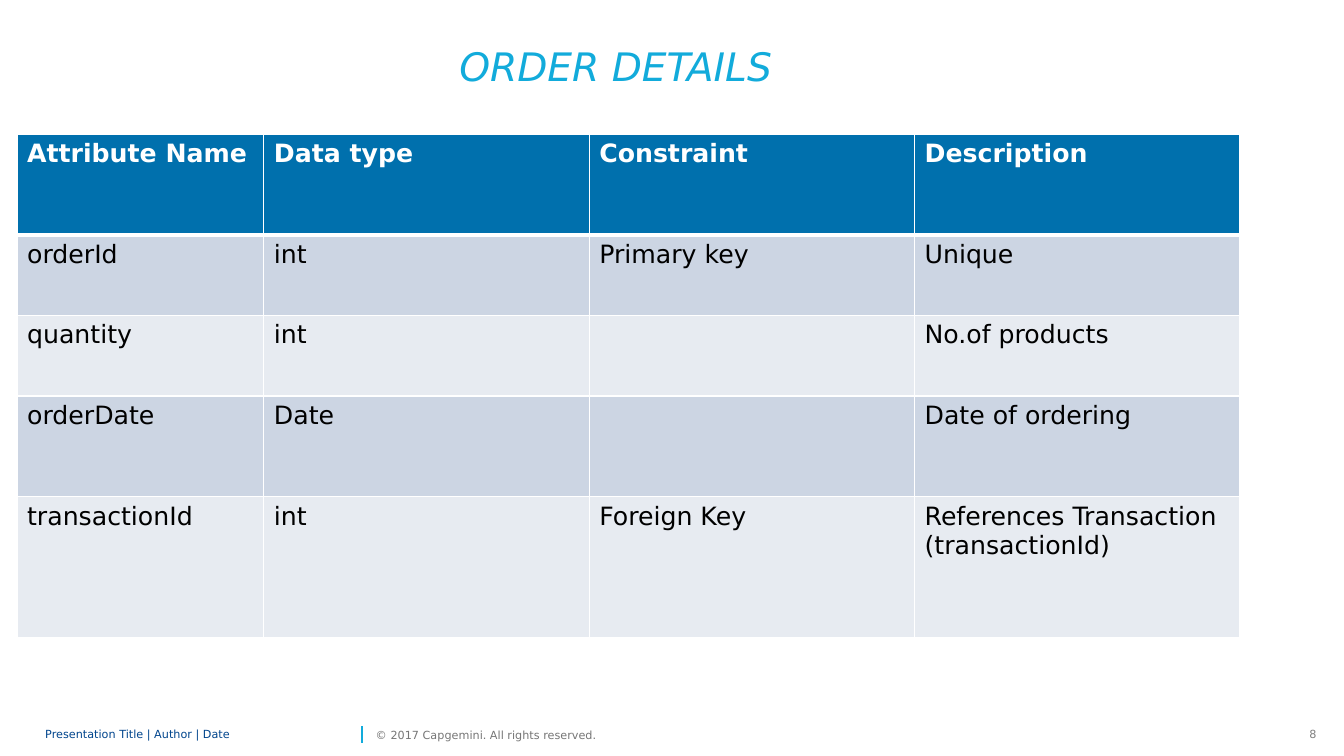
import pptx
import pptx.dml.color
import pptx.enum.shapes
import pptx.enum.text
import pptx.oxml
import pptx.oxml.ns
import pptx.util
from pptx.util import Cm, Pt

ALIGN = pptx.enum.text.PP_ALIGN
ANCHOR = pptx.enum.text.MSO_ANCHOR
FONT = "DejaVu Sans"
WHITE, CYAN = "FFFFFF", "12ABDB"


def color(value):
    return pptx.dml.color.RGBColor.from_string(value)


def add_text(page, text, left, top, width, height, size, shade,
             align=ALIGN.LEFT, anchor=ANCHOR.TOP, inset=(0, 0), wrap=True):
    box = page.shapes.add_textbox(Cm(left), Cm(top), Cm(width), Cm(height))
    frame = box.text_frame
    frame.word_wrap = wrap
    frame.vertical_anchor = anchor
    frame.margin_left = frame.margin_right = Cm(inset[0])
    frame.margin_top = frame.margin_bottom = Cm(inset[1])
    para = frame.paragraphs[0]
    para.text = text
    para.alignment = align
    para.font.name = FONT
    para.font.size = Pt(size)
    para.font.color.rgb = color(shade)
    return para


deck = pptx.Presentation()
deck.slide_width, deck.slide_height = Cm(33.87), Cm(19.05)
page = deck.slides.add_slide(deck.slide_layouts[6])

# Footer
add_text(page, "8", 32.74, 18.21, 0.69, 0.61, 8, "808080",
         align=ALIGN.RIGHT, inset=(0.25, 0.13))
divider = page.shapes.add_connector(
    pptx.enum.shapes.MSO_CONNECTOR.STRAIGHT, Cm(9.12), Cm(18.72), Cm(9.12), Cm(18.29))
divider.line.color.rgb = color(CYAN)
divider.line.width = Pt(1)
divider._element.spPr.append(pptx.oxml.parse_xml(
    f"<a:effectLst {pptx.oxml.ns.nsdecls('a')}/>"))
footer = add_text(page, "Presentation Title | Author | Date",
                  1.14, 18.21, 7.85, 0.61, 8, "00458D", anchor=ANCHOR.MIDDLE)
footer.line_spacing = 0.85
add_text(page, "© 2017 Capgemini. All rights reserved.",
         9.47, 18.21, 6.17, 0.61, 8, "767676", anchor=ANCHOR.MIDDLE, wrap=False)

# Title
title = add_text(page, "ORDER DETAILS", 7.82, 1.47, 15.39, 1.22, 28, CYAN,
                 align=ALIGN.CENTER)
title.font.italic = True
title.line_spacing = Pt(22)
title.space_after = Pt(6)

# Attribute table
rows = [
    ("Attribute Name", "Data type", "Constraint", "Description"),
    ("orderId", "int", "Primary key", "Unique"),
    ("quantity", "int", "", "No.of products"),
    ("orderDate", "Date", "", "Date of ordering"),
    ("transactionId", "int", "Foreign Key", "References Transaction (transactionId)"),
]
widths = [6.22, 8.2, 8.2, 8.2]
heights = [2.54, 2.03, 2.03, 2.54, 3.56]
table = page.shapes.add_table(len(rows), len(widths), Cm(0.43), Cm(3.38),
                              Cm(sum(widths)), Cm(sum(heights))).table
for column, width in zip(table.columns, widths):
    column.width = Cm(width)

for index, (labels, height) in enumerate(zip(rows, heights)):
    table.rows[index].height = Cm(height)
    header = index == 0
    fill = "0070AD" if header else ("E7EBF1", "CCD5E3")[index % 2]
    # The rule under the header row is thicker
    borders = {"L": 1, "R": 1, "T": 3 if index == 1 else 1, "B": 3 if header else 1}
    for cell, label in zip(table.rows[index].cells, labels):
        properties = cell._tc.get_or_add_tcPr()
        for side, weight in borders.items():
            properties.append(pptx.oxml.parse_xml(
                f'<a:ln{side} {pptx.oxml.ns.nsdecls("a")} w="{Pt(weight)}"><a:solidFill>'
                f'<a:srgbClr val="{WHITE}"/></a:solidFill></a:ln{side}>'))
        cell.fill.solid()
        cell.fill.fore_color.rgb = color(fill)
        para = cell.text_frame.paragraphs[0]
        para.text = label
        para.font.name = FONT
        para.font.size = Pt(18)
        para.font.bold = header
        para.font.color.rgb = color(WHITE if header else "000000")

deck.save("out.pptx")
